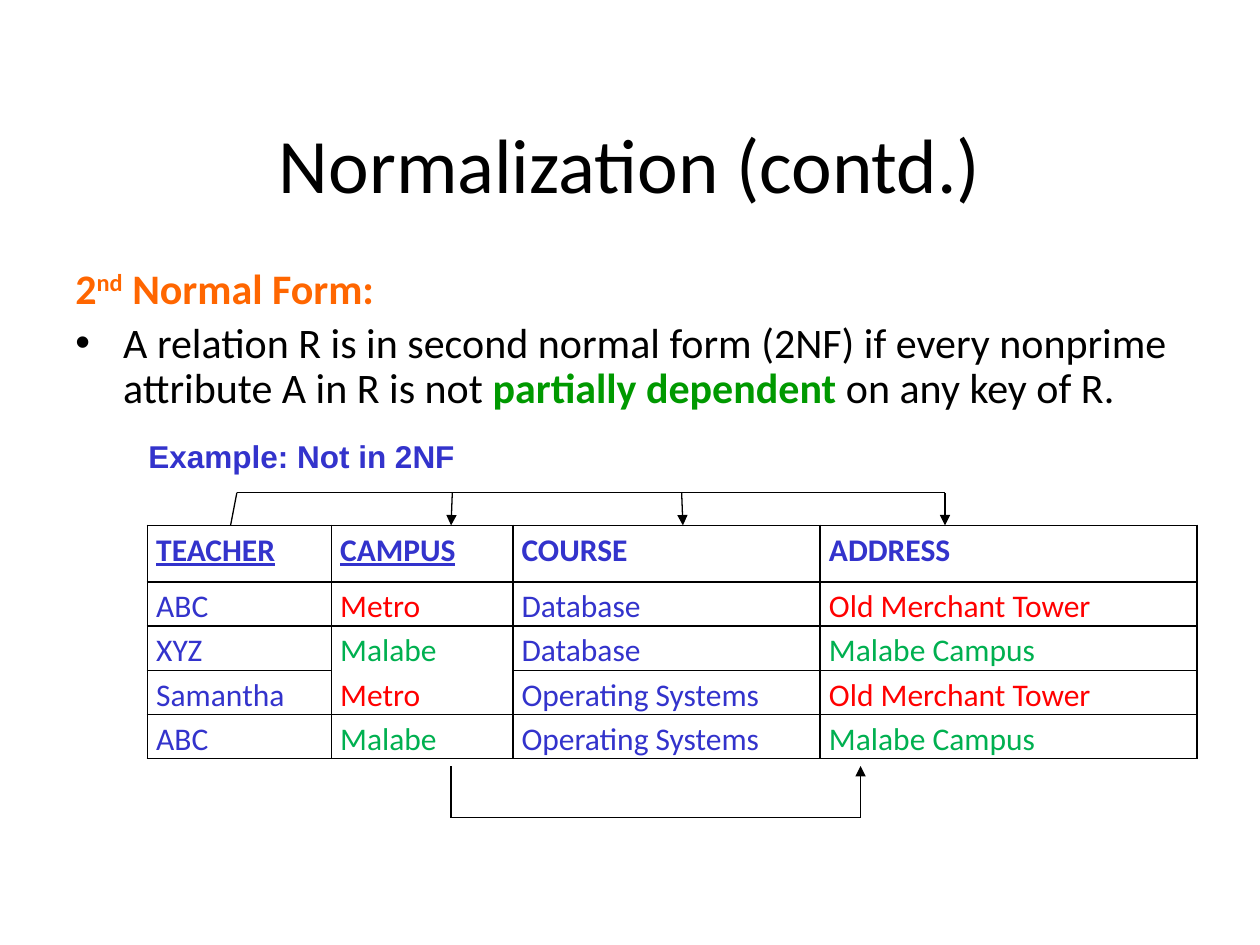
from typing import NamedTuple

from lxml import etree
from pptx import Presentation
from pptx.dml.color import RGBColor
from pptx.enum import shapes, text
from pptx.oxml import ns
from pptx.util import Inches, Pt

BLACK = RGBColor(0x00, 0x00, 0x00)
ORANGE = RGBColor(0xFF, 0x66, 0x00)
DARK_GREEN = RGBColor(0x00, 0x99, 0x00)
BLUE = RGBColor(0x33, 0x33, 0xCC)
RED = RGBColor(0xFF, 0x00, 0x00)
GREEN = RGBColor(0x00, 0xB0, 0x50)


class Line(NamedTuple):
    x1: float
    y1: float
    x2: float
    y2: float
    arrow: bool = False


COLUMNS = [("TEACHER", 1.46), ("CAMPUS", 1.44), ("COURSE", 2.44), ("ADDRESS", 2.99)]
KEY_COLUMNS = ("TEACHER", "CAMPUS")
ROWS = [
    ("ABC", "Metro", "Database", "Old Merchant Tower"),
    ("XYZ", "Malabe", "Database", "Malabe Campus"),
    ("Samantha", "Metro", "Operating Systems", "Old Merchant Tower"),
    ("ABC", "Malabe", "Operating Systems", "Malabe Campus"),
]
CAMPUS_COLORS = {"Metro": RED, "Malabe": GREEN}
HEADER_H, ROW_H = 0.45, 0.35
# Sides left without a border, by (row, column)
OPEN_SIDES = {(2, 1): "B", (3, 1): "T"}

KEY_DEPENDENCY = [
    Line(1.88, 3.91, 7.5, 3.91),
    Line(1.88, 3.91, 1.83, 4.17),
    Line(3.59, 3.91, 3.58, 4.17, True),
    Line(5.41, 3.91, 5.42, 4.17, True),
    Line(7.5, 3.91, 7.5, 4.17, True),
]
PARTIAL_DEPENDENCY = [
    Line(3.58, 6.49, 6.83, 6.49),
    Line(3.58, 6.49, 3.58, 6.08),
    Line(6.83, 6.49, 6.83, 6.08, True),
]


def add_run(p, words: str, *, size: float = 18, color: RGBColor = BLACK,
            bold: bool = False, underline: bool = False, font: str = "Calibri",
            baseline: int = 0) -> None:
    r = p.add_run()
    r.text = words
    f = r.font
    f.name, f.size, f.bold, f.underline = font, Pt(size), bold, underline
    f.color.rgb = color
    if baseline:
        r._r.get_or_add_rPr().set("baseline", str(baseline * 1000))


def add_textbox(slide, x: float, y: float, w: float, h: float):
    tf = slide.shapes.add_textbox(Inches(x), Inches(y), Inches(w), Inches(h)).text_frame
    tf.word_wrap = True
    return tf


def add_definition(slide) -> None:
    tf = add_textbox(slide, 0.5, 2.08, 9, 4.62)
    heading, bullet = tf.paragraphs[0], tf.add_paragraph()
    for p in (heading, bullet):
        p.line_spacing = 0.9
        pPr = p._p.get_or_add_pPr()
        pPr.set("marL", str(Inches(0.38)))
        pPr.set("indent", str(-Inches(0.38)))
    bullet.space_before = Pt(4.8)
    pPr = bullet._p.get_or_add_pPr()
    etree.SubElement(pPr, ns.qn("a:buFont"), typeface="Arial")
    etree.SubElement(pPr, ns.qn("a:buChar"), char="•")

    for words, raised in (("2", 0), ("nd", 30), (" Normal Form:", 0)):
        add_run(heading, words, size=24, color=ORANGE, bold=True, baseline=raised)
    add_run(bullet, "A relation R is in second normal form (2NF) if every "
                    "nonprime attribute A in R is not ", size=24)
    add_run(bullet, "partially dependent", size=24, color=DARK_GREEN, bold=True)
    add_run(bullet, " on any key of R.", size=24)


def set_borders(cell, open_sides: str) -> None:
    tcPr = cell._tc.get_or_add_tcPr()
    for i, side in enumerate("LRTB"):
        ln = etree.Element(ns.qn(f"a:ln{side}"), w=str(Pt(1)))
        if side in open_sides:
            etree.SubElement(ln, ns.qn("a:noFill"))
        else:
            fill = etree.SubElement(ln, ns.qn("a:solidFill"))
            etree.SubElement(fill, ns.qn("a:srgbClr"), val=str(BLACK))
        tcPr.insert(i, ln)


def fill_cell(cell, words: str, open_sides: str = "", **style) -> None:
    cell.margin_left = cell.margin_right = Inches(0.07)
    cell.margin_top = cell.margin_bottom = 0
    cell.fill.background()
    set_borders(cell, open_sides)
    p = cell.text_frame.paragraphs[0]
    p.line_spacing = 1.15
    add_run(p, words, **style)


def add_relation(slide) -> None:
    width = sum(w for _, w in COLUMNS)
    height = HEADER_H + ROW_H * len(ROWS)
    table = slide.shapes.add_table(len(ROWS) + 1, len(COLUMNS), Inches(1.17),
                                   Inches(4.17), Inches(width), Inches(height)).table
    table.first_row = table.horz_banding = False
    for i, row in enumerate(table.rows):
        row.height = Inches(ROW_H if i else HEADER_H)
    for j, (name, w) in enumerate(COLUMNS):
        table.columns[j].width = Inches(w)
        fill_cell(table.cell(0, j), name, color=BLUE, bold=True,
                  underline=name in KEY_COLUMNS)
    for i, values in enumerate(ROWS, 1):
        campus_color = CAMPUS_COLORS[values[1]]
        for j, value in enumerate(values):
            fill_cell(table.cell(i, j), value, OPEN_SIDES.get((i, j), ""),
                      color=campus_color if j in (1, 3) else BLUE)


def add_line(group, line: Line) -> None:
    c = group.shapes.add_connector(shapes.MSO_CONNECTOR.STRAIGHT, Inches(line.x1),
                                   Inches(line.y1), Inches(line.x2), Inches(line.y2))
    c.line.color.rgb = BLACK
    c.line.width = Pt(0.75)
    if line.arrow:
        etree.SubElement(c.line._get_or_add_ln(), ns.qn("a:tailEnd"), type="triangle")
    etree.SubElement(c._element.spPr, ns.qn("a:effectLst"))


def main() -> None:
    prs = Presentation()
    prs.slide_width, prs.slide_height = Inches(10), Inches(7.5)
    slide = prs.slides.add_slide(prs.slide_layouts[5])

    title = slide.shapes.title
    title.left, title.top = Inches(0.5), Inches(0.67)
    title.width, title.height = Inches(9), Inches(1.25)
    title.text_frame.vertical_anchor = text.MSO_ANCHOR.MIDDLE
    p = title.text_frame.paragraphs[0]
    p.alignment = text.PP_ALIGN.CENTER
    add_run(p, "Normalization (contd.)", size=44)

    add_definition(slide)
    add_relation(slide)
    for dependency in (PARTIAL_DEPENDENCY, KEY_DEPENDENCY):
        group = slide.shapes.add_group_shape()
        for line in dependency:
            add_line(group, line)

    example = add_textbox(slide, 1.08, 3.42, 5.08, 0.4)
    add_run(example.paragraphs[0], "Example: Not in 2NF", color=BLUE, bold=True,
            font="Arial")
    prs.save("out.pptx")


if __name__ == "__main__":
    main()
